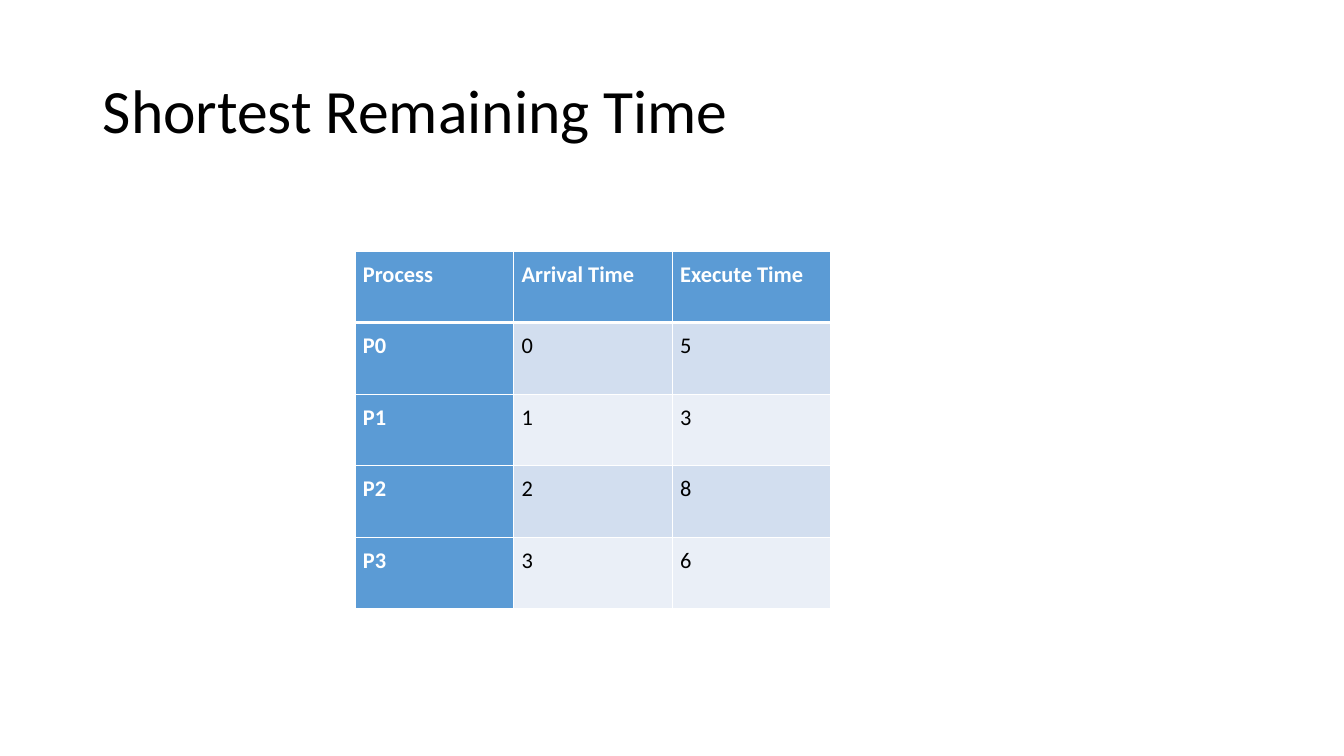
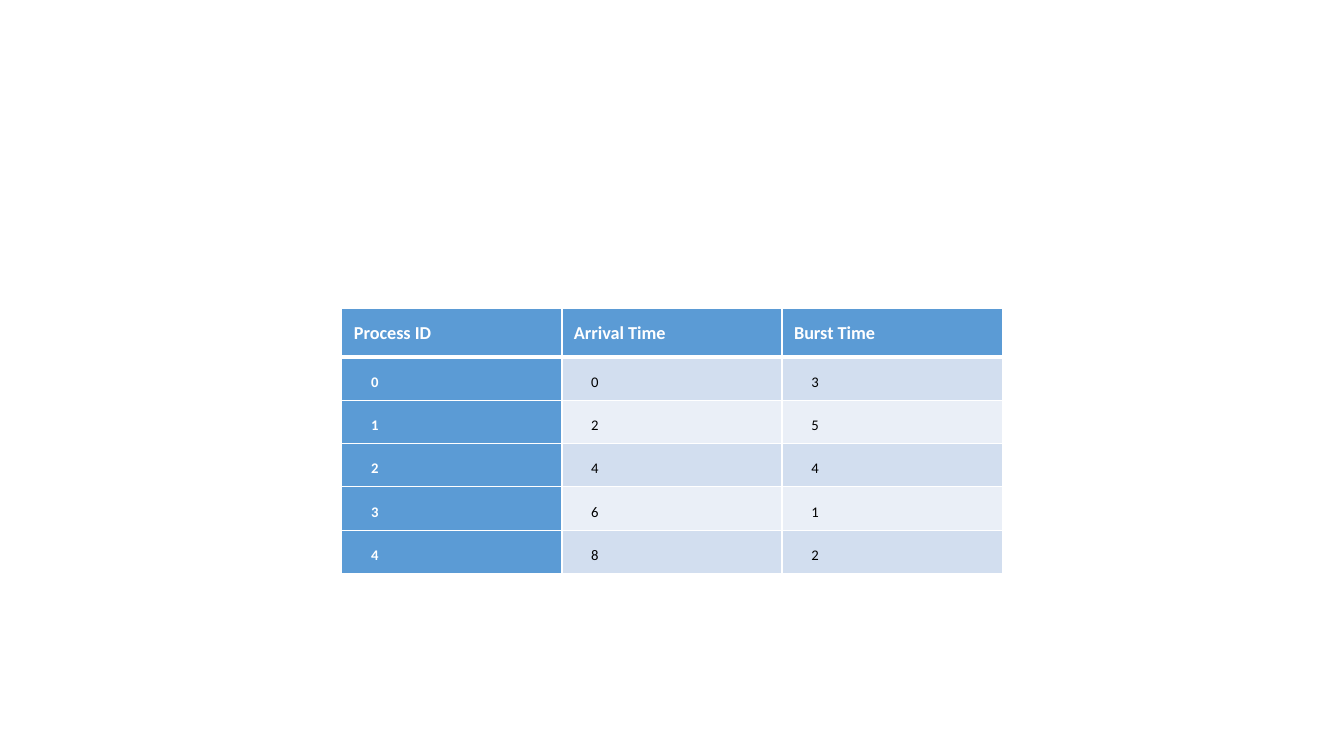
from dataclasses import dataclass

from lxml import etree
from pptx import Presentation
from pptx.dml.color import RGBColor
from pptx.enum import text
from pptx.oxml import ns
from pptx.util import Inches, Pt


@dataclass(frozen=True)
class Theme:
    font: str = "Calibri"
    black: str = "000000"
    white: str = "FFFFFF"
    accent: str = "5B9BD5"
    bands: tuple = ("D2DEEF", "EAEFF7")
    title_size: float = 44
    thin_line: float = 1
    header_line: float = 3


@dataclass(frozen=True)
class CellStyle:
    size: float
    height: float
    margin: float = 0.08
    spacing: float | Pt = 1.07
    space_after: float = 0
    indent: float = 0


THEME = Theme()
ROOMY = CellStyle(size=16, height=0.71, space_after=15)
COMPACT_HEADER = CellStyle(size=13, height=0.48, margin=0.12)
COMPACT_BODY = CellStyle(size=10.5, height=0.43, spacing=Pt(18.8), indent=0.21)

TITLE_BOX = (0.92, 0.4, 11.5, 1.45)
REMAINING_TIME_ROWS = [
    ("Process", "Arrival Time", "Execute Time"),
    ("P0", "0", "5"),
    ("P1", "1", "3"),
    ("P2", "2", "8"),
    ("P3", "3", "6"),
]
BURST_TIME_ROWS = [
    ("Process ID", "Arrival Time", "Burst Time"),
    ("0", "0", "3"),
    ("1", "2", "5"),
    ("2", "4", "4"),
    ("3", "6", "1"),
    ("4", "8", "2"),
]


def format_runs(para, size, color, bold=False):
    for span in para.runs:
        span.font.name = THEME.font
        span.font.size = Pt(size)
        span.font.bold = bold
        span.font.color.rgb = RGBColor.from_string(color)


def set_borders(cell, row):
    widths = {side: THEME.thin_line for side in ("L", "R", "T", "B")}
    if row == 0:
        widths["B"] = THEME.header_line
    elif row == 1:
        widths["T"] = THEME.header_line
    properties = cell._tc.get_or_add_tcPr()
    for side, width in widths.items():
        line = etree.SubElement(properties, ns.qn(f"a:ln{side}"), w=str(Pt(width)))
        fill = etree.SubElement(line, ns.qn("a:solidFill"))
        etree.SubElement(fill, ns.qn("a:srgbClr"), val=THEME.white)


def fill_cell(cell, row, column, value, style):
    emphasized = row == 0 or column == 0
    set_borders(cell, row)
    cell.fill.solid()
    cell.fill.fore_color.rgb = RGBColor.from_string(
        THEME.accent if emphasized else THEME.bands[(row - 1) % 2]
    )
    margin = Inches(style.margin)
    cell.margin_left = cell.margin_right = margin
    cell.margin_top = cell.margin_bottom = margin
    cell.text_frame.text = value
    para = cell.text_frame.paragraphs[0]
    para.line_spacing = style.spacing
    para.space_after = Pt(style.space_after)
    if style.indent:
        para._p.get_or_add_pPr().set("marL", str(Inches(style.indent)))
    format_runs(para, style.size, THEME.white if emphasized else THEME.black, emphasized)


def add_process_table(page, left, top, width, rows, header, body):
    styles = [header] + [body] * (len(rows) - 1)
    height = sum(style.height for style in styles)
    frame = page.shapes.add_table(
        len(rows), len(rows[0]), Inches(left), Inches(top), Inches(width), Inches(height)
    )
    table = frame.table
    table.first_col = True
    for row, (values, style) in enumerate(zip(rows, styles)):
        table.rows[row].height = Inches(style.height)
        for column, value in enumerate(values):
            fill_cell(table.cell(row, column), row, column, value, style)


def add_title(page, title, left, top, width, height):
    box = page.shapes.title
    box.left, box.top = Inches(left), Inches(top)
    box.width, box.height = Inches(width), Inches(height)
    box.text_frame.text = title
    box.text_frame.vertical_anchor = text.MSO_ANCHOR.MIDDLE
    para = box.text_frame.paragraphs[0]
    para.alignment = text.PP_ALIGN.LEFT
    para.line_spacing = 0.9
    format_runs(para, THEME.title_size, THEME.black)


def build_remaining_time(deck):
    page = deck.slides.add_slide(deck.slide_layouts.get_by_name("Title Only"))
    add_title(page, "Shortest Remaining Time", *TITLE_BOX)
    add_process_table(page, 3.52, 2.49, 4.72, REMAINING_TIME_ROWS, ROOMY, ROOMY)


def build_burst_time(deck):
    page = deck.slides.add_slide(deck.slide_layouts.get_by_name("Blank"))
    add_process_table(page, 3.39, 3.06, 6.55, BURST_TIME_ROWS, COMPACT_HEADER, COMPACT_BODY)


def main():
    deck = Presentation()
    deck.slide_width, deck.slide_height = Inches(13.33), Inches(7.5)
    build_remaining_time(deck)
    build_burst_time(deck)
    deck.save("out.pptx")


if __name__ == "__main__":
    main()
